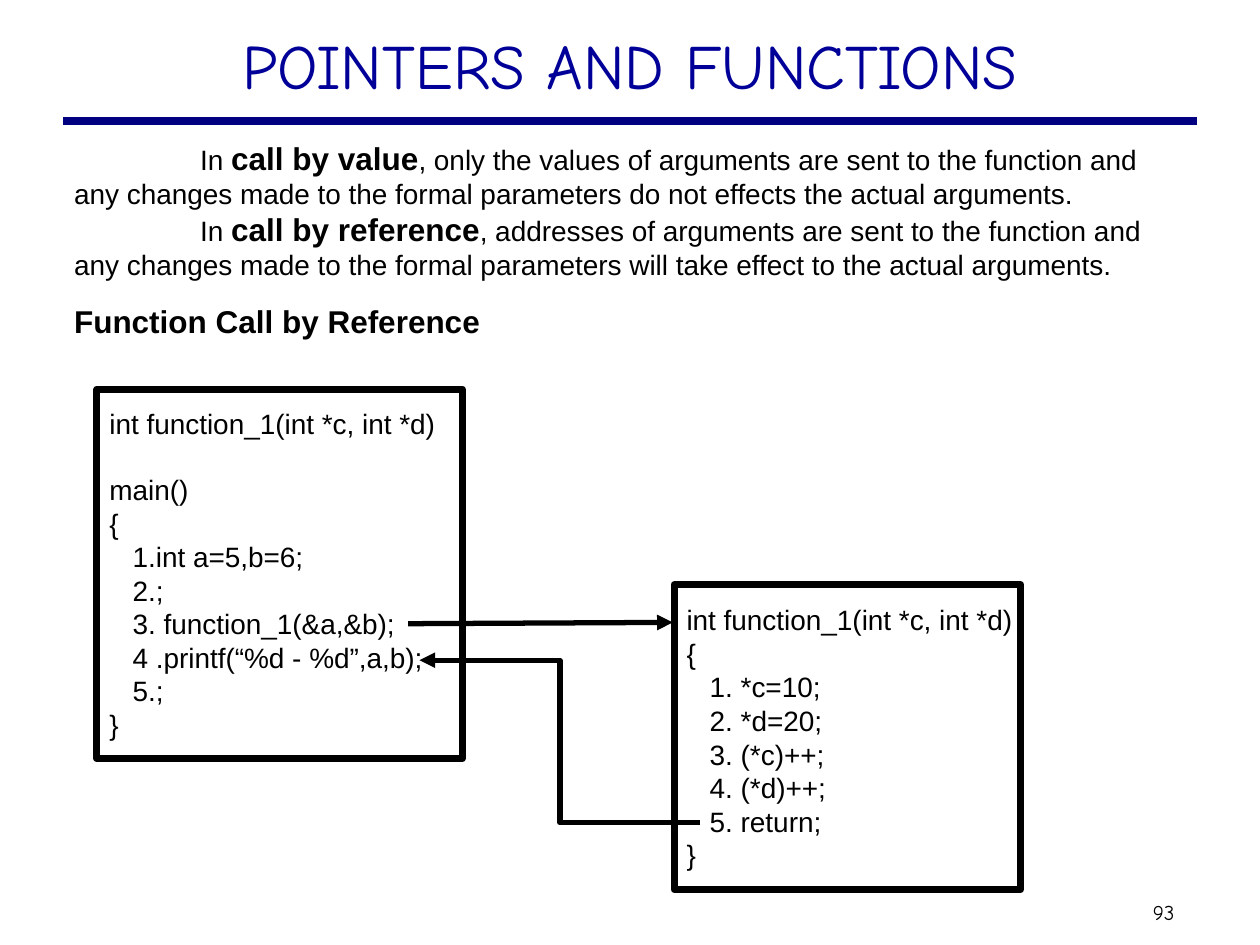
import pptx
import pptx.dml.color
import pptx.enum.shapes
import pptx.enum.text
import pptx.oxml
import pptx.oxml.ns
import pptx.util
from pptx.util import Inches, Pt

COLORS = {"title": "000099", "rule": "000080", "ink": "000000"}


def set_font(font, name, size, color="ink", bold=False):
    font.name, font.size, font.bold = name, Pt(size), bold
    font.color.rgb = pptx.dml.color.RGBColor.from_string(COLORS[color])


def add_line(page, kind, start, end, color, width, arrow=False):
    line = page.shapes.add_connector(kind, *map(Inches, start + end))
    line.line.color.rgb = pptx.dml.color.RGBColor.from_string(COLORS[color])
    line.line.width = Pt(width)
    namespace = pptx.oxml.ns.nsdecls("a")
    if arrow:
        line.line._get_or_add_ln().append(
            pptx.oxml.parse_xml(f'<a:tailEnd {namespace} type="triangle"/>'))
    line._element.spPr.append(pptx.oxml.parse_xml(f"<a:effectLst {namespace}/>"))


deck = pptx.Presentation()
deck.slide_width, deck.slide_height = Inches(10), Inches(7.5)
page = deck.slides.add_slide(deck.slide_layouts[5])
straight = pptx.enum.shapes.MSO_CONNECTOR.STRAIGHT
elbow = pptx.enum.shapes.MSO_CONNECTOR.ELBOW

# Title, rule and page number
title = page.shapes.title
title.left, title.top = Inches(0.75), Inches(0.16)
title.width, title.height = Inches(8.5), Inches(0.76)
title.text_frame.text = "POINTERS AND FUNCTIONS"
title.text_frame.vertical_anchor = pptx.enum.text.MSO_ANCHOR.TOP
para = title.text_frame.paragraphs[0]
para.alignment = pptx.enum.text.PP_ALIGN.CENTER
set_font(para.font, "Comic Neue", 36, "title")

add_line(page, straight, (0.5, 0.96), (9.5, 0.96), "rule", 4.5)

number = page.shapes.add_textbox(Inches(9.1), Inches(7.09), Inches(0.47), Inches(0.3))
frame = number.text_frame
frame.margin_left = frame.margin_right = Inches(0.05)
frame.word_wrap = True
frame.vertical_anchor = pptx.enum.text.MSO_ANCHOR.MIDDLE
frame.text = "93"
set_font(frame.paragraphs[0].font, "Comic Neue", 12)

# Explanation and heading
definitions = [
    ("call by value", ", only the values of arguments are sent to the function and any "
     "changes made to the formal parameters do not effects the actual arguments."),
    ("call by reference", ", addresses of arguments are sent to the function and any "
     "changes made to the formal parameters will take effect to the actual arguments."),
]
body = page.shapes.add_textbox(Inches(0.49), Inches(1.05), Inches(9), Inches(1.75))
frame = body.text_frame
frame.word_wrap = True
for index, (term, meaning) in enumerate(definitions):
    para = frame.add_paragraph() if index else frame.paragraphs[0]
    para._p.get_or_add_pPr().set("indent", str(Inches(1)))
    for text, size, bold in (("In ", 16, False), (term, 18, True), (meaning, 16, False)):
        span = para.add_run()
        span.text = text
        set_font(span.font, "Arial", size, bold=bold)
heading = frame.add_paragraph()
heading.text = "Function Call by Reference"
heading.space_before = Pt(12)
set_font(heading.font, "Arial", 18, bold=True)

# Code boxes: an empty entry opens a gap above the line that follows
caller = ["int function_1(int *c, int *d)", "", "main()", "{", "   1.int a=5,b=6;", "   2.;",
          "   3. function_1(&a,&b);", "   4 .printf(“%d - %d”,a,b);", "   5.;", "}"]
callee = ["int function_1(int *c, int *d)", "{", "   1. *c=10;", "   2. *d=20;",
          "   3. (*c)++;", "   4. (*d)++;", "   5. return;", "}"]
for area, code in (((0.77, 3.09, 2.9, 2.93), caller), ((5.35, 4.64, 2.75, 2.42), callee)):
    box = page.shapes.add_shape(pptx.enum.shapes.MSO_SHAPE.RECTANGLE, *map(Inches, area))
    box.shadow.inherit = False
    box.fill.background()
    box.line.color.rgb = pptx.dml.color.RGBColor.from_string(COLORS["ink"])
    box.line.width = Pt(4)
    frame = box.text_frame
    frame.word_wrap = True
    frame.margin_right = 0
    frame.vertical_anchor = pptx.enum.text.MSO_ANCHOR.MIDDLE
    for index, text in enumerate(code):
        if not text:
            continue
        para = frame.add_paragraph() if index else frame.paragraphs[0]
        para.text = text
        para.alignment = pptx.enum.text.PP_ALIGN.LEFT
        if index and not code[index - 1]:
            para.space_before = Pt(18.4)
        set_font(para.font, "Arial", 16)

# Call and return arrows
add_line(page, straight, (3.24, 4.95), (5.34, 4.94), "ink", 3, arrow=True)
add_line(page, elbow, (5.56, 6.53), (3.33, 5.24), "ink", 3, arrow=True)

deck.save("out.pptx")
